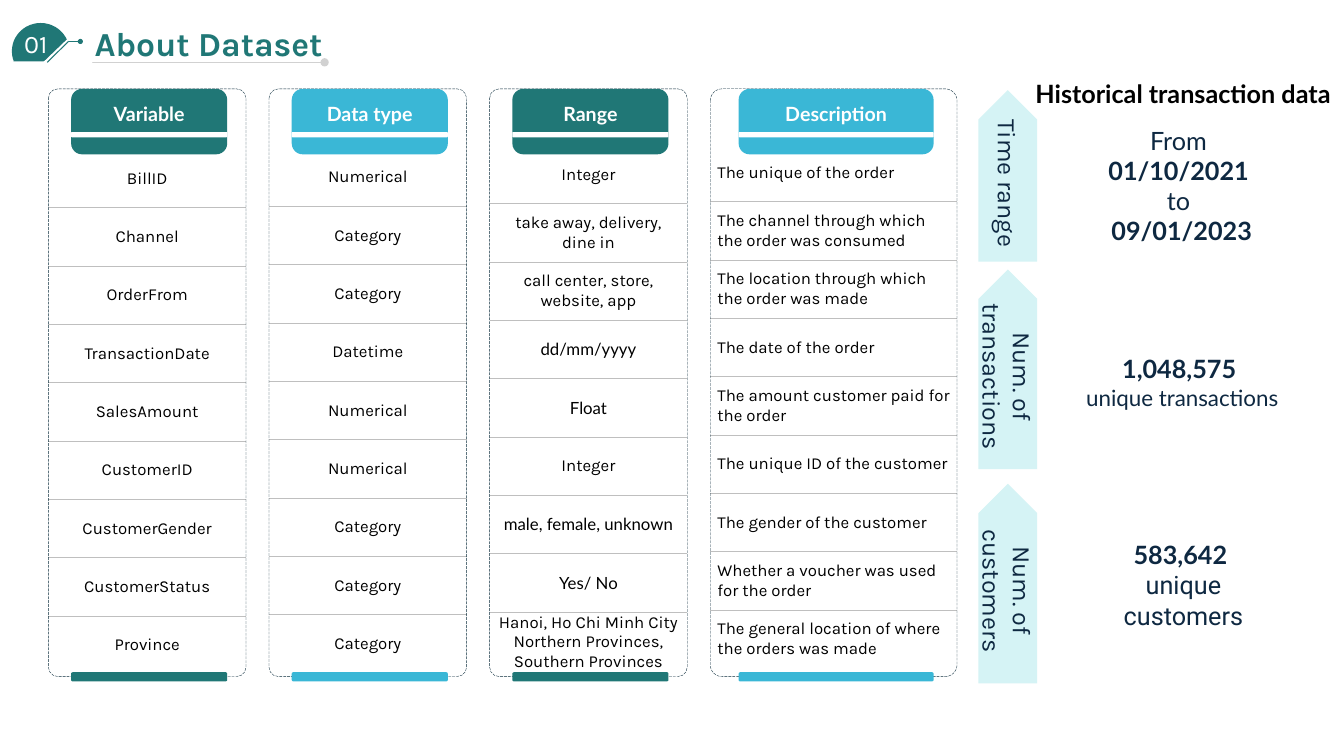
"""Build the dataset overview slide with its variable columns and key facts."""
import pptx
import pptx.dml.color
import pptx.enum.dml
import pptx.enum.shapes
import pptx.enum.text
import pptx.oxml
import pptx.util
from lxml import etree

Cm, Pt = pptx.util.Cm, pptx.util.Pt
Shape = pptx.enum.shapes.MSO_SHAPE
Align = pptx.enum.text.PP_ALIGN
Anchor = pptx.enum.text.MSO_ANCHOR
NS = "http://schemas.openxmlformats.org/drawingml/2006/main"
TEAL, SKY, PALE, NAVY = "207776", "3AB7D6", "D5F3F5", "0E2841"
WHITE, BLACK, GREY, SILVER, EDGE = "FFFFFF", "000000", "BFBFBF", "D1D1D1", "092A39"


def paint(target, color):
    target.solid()
    target.fore_color.rgb = pptx.dml.color.RGBColor.from_string(color)


class Deck:
    def __init__(self):
        self.prs = pptx.Presentation()
        self.prs.slide_width, self.prs.slide_height = Cm(33.87), Cm(19.05)
        self.slide = self.prs.slides.add_slide(self.prs.slide_layouts[5])
        self.shapes = self.slide.shapes

    def typeset(self, frame, lines, anchor=Anchor.TOP, align=Align.CENTER):
        frame.word_wrap = True
        frame.vertical_anchor = anchor
        for i, (text, font, size, color, bold) in enumerate(lines):
            par = frame.paragraphs[0] if i == 0 else frame.add_paragraph()
            par.text, par.alignment = text, align
            par.font.name, par.font.size, par.font.bold = font, Pt(size), bold
            paint(par.font.fill, color)

    def title(self, box, line):
        title = self.shapes.title
        title.left, title.top, title.width, title.height = map(Cm, box)
        title.text_frame.auto_size = pptx.enum.text.MSO_AUTO_SIZE.NONE
        self.typeset(title.text_frame, [line], align=Align.LEFT)

    def text(self, box, *lines, anchor=Anchor.TOP, align=Align.CENTER):
        label = self.shapes.add_textbox(*map(Cm, box))
        self.typeset(label.text_frame, lines, anchor, align)

    def shape(self, kind, box, fill=None, turn=0):
        item = self.shapes.add_shape(kind, *map(Cm, box))
        item.shadow.inherit = False
        item.rotation = turn
        item.line.fill.background()
        if fill:
            paint(item.fill, fill)
        else:
            item.fill.background()
        return item

    def panel(self, box):
        item = self.shape(Shape.ROUNDED_RECTANGLE, box)
        item.adjustments[0] = 0.048
        paint(item.line.fill, EDGE)
        item.line.width = Pt(0.25)
        item.line.dash_style = pptx.enum.dml.MSO_LINE.LONG_DASH

    def arrow(self, top, width, text):
        mid, high = 25.4, 1.48
        box = mid - width / 2, top + (width - high) / 2, width, high
        item = self.shape(Shape.PENTAGON, box, PALE, 90)
        item._element.spPr.xfrm.set("flipH", "1")
        self.typeset(item.text_frame, [(text, "Karla", 18, NAVY, False)], Anchor.MIDDLE)

    def line(self, start, end, color, tail=None):
        kind = pptx.enum.shapes.MSO_CONNECTOR.STRAIGHT
        item = self.shapes.add_connector(kind, *map(Cm, start + end))
        paint(item.line.fill, color)
        item.line.width = Pt(0.75)
        if tail:
            etree.SubElement(item.line._get_or_add_ln(), f"{{{NS}}}tailEnd", type=tail)
        etree.SubElement(item._element.spPr, f"{{{NS}}}effectLst")

    def border(self, cell, side, show):
        fill = f'<a:solidFill><a:srgbClr val="{GREY}"/></a:solidFill>' if show else "<a:noFill/>"
        xml = f'<a:ln{side} xmlns:a="{NS}" w="6350">{fill}</a:ln{side}>'
        cell._tc.get_or_add_tcPr().append(pptx.oxml.parse_xml(xml))

    def table(self, left, top, width, rows, align):
        count, high = len(rows), 1.47
        frame = self.shapes.add_table(count, 1, Cm(left), Cm(top), Cm(width), Cm(high * count))
        grid = frame.table
        grid.first_row = grid.horz_banding = False
        for i, text in enumerate(rows):
            grid.rows[i].height = Cm(high)
            cell = grid.cell(i, 0)
            for side, show in (("L", False), ("R", False), ("T", i > 0), ("B", i < count - 1)):
                self.border(cell, side, show)
            cell.fill.background()
            cell.margin_left = cell.margin_right = Cm(0.18)
            cell.margin_top = cell.margin_bottom = 0
            font = "Lato" if text in PLAIN else "Karla"
            self.typeset(cell.text_frame, [(text, font, 12, BLACK, False)], Anchor.MIDDLE, align)
            cell.vertical_anchor = Anchor.MIDDLE

    def column(self, left, width, color, head):
        self.panel((left, 2.24, width, 14.81))
        start, wide = left + 0.115 * width, 0.79 * width
        for top, high, fill in ((16.94, 0.23, color), (2.24, 1.65, color), (3.33, 0.13, WHITE)):
            self.shape(Shape.ROUNDED_RECTANGLE, (start, top, wide, high), fill)
        self.text((start, 2.44, wide, 0.84), (head, "Lato", 14, WHITE, True))

    def badge(self, text):
        self.shape(Shape.OVAL, (0.3, 0.58, 1.45, 1.42), TEAL)
        self.shape(Shape.RECTANGLE, (0.36, 1.55, 0.84, 0.89), WHITE)
        self.shape(Shape.RECTANGLE, (1.02, 1.24, 1.24, 1.04), WHITE, 316.2)
        self.line((1.73, 1.04), (1.19, 1.57), TEAL)
        self.line((1.98, 1.04), (1.73, 1.04), TEAL)
        self.shape(Shape.OVAL, (1.96, 0.98, 0.13, 0.13), TEAL)
        self.text((0.36, 0.58, 1.24, 1.02), (text, "Karla", 18, WHITE, False), align=Align.LEFT)


PLAIN = {"dd/mm/yyyy", "Float", "male, female, unknown", "Yes/ No"}
COLUMNS = [
    ("Variable", 4.98, 3.76, TEAL, Align.CENTER, [
        "BillID", "Channel", "OrderFrom", "TransactionDate", "SalesAmount",
        "CustomerID", "CustomerGender", "CustomerStatus", "Province"]),
    ("Data type", 4.98, 3.73, SKY, Align.CENTER, [
        "Numerical", "Category", "Category", "Datetime", "Numerical",
        "Numerical", "Category", "Category", "Category"]),
    ("Range", 4.98, 3.66, TEAL, Align.CENTER, [
        "Integer", "take away, delivery, dine in", "call center, store, website, app",
        "dd/mm/yyyy", "Float", "Integer", "male, female, unknown", "Yes/ No",
        "Hanoi, Ho Chi Minh City Northern Provinces, Southern Provinces"]),
    ("Description", 6.22, 3.61, SKY, Align.LEFT, [
        "The unique of the order", "The channel through which the order was consumed",
        "The location through which the order was made", "The date of the order",
        "The amount customer paid for the order", "The unique ID of the customer",
        "The gender of the customer", "Whether a voucher was used for the order",
        "The general location of where the orders was made"]),
]


def main():
    deck = Deck()
    deck.title((2.13, 0.46, 6.96, 1.27), ("About Dataset", "Karla", 24, TEAL, True))
    deck.line((2.29, 1.57), (8.18, 1.57), SILVER, "oval")
    deck.badge("01")
    for i, (head, width, top, color, align, rows) in enumerate(COLUMNS):
        left = 1.22 + 5.56 * i
        deck.table(left, top, width, rows, align)
        deck.column(left, width, color, head)
    for top, width, text in ((2.27, 4.32, "Time range"), (6.79, 5.03, "Num. of transactions"),
                             (12.19, 5.03, "Num. of customers")):
        deck.arrow(top, width, text)
    deck.text((25.7, 1.85, 8.23, 1.02), ("Historical transaction data", "Lato", 18, BLACK, True))
    deck.text((27, 2.87, 5.56, 3.61),
              ("From ", "Lato", 18, NAVY, False), ("01/10/2021 ", "Lato", 18, NAVY, True),
              ("to ", "Lato", 18, NAVY, False), ("09/01/2023", "Lato", 18, NAVY, True),
              anchor=Anchor.MIDDLE)
    deck.text((27.05, 8.79, 5.49, 1.7), ("1,048,575 ", "Lato", 18, NAVY, True),
              ("unique transactions", "Lato", 16, NAVY, False))
    deck.text((27.08, 13.87, 5.49, 1.73), ("583,642 ", "Lato", 18, NAVY, True),
              ("unique customers", "Roboto", 18, NAVY, False), anchor=Anchor.MIDDLE)
    deck.prs.save("out.pptx")


if __name__ == "__main__":
    main()
